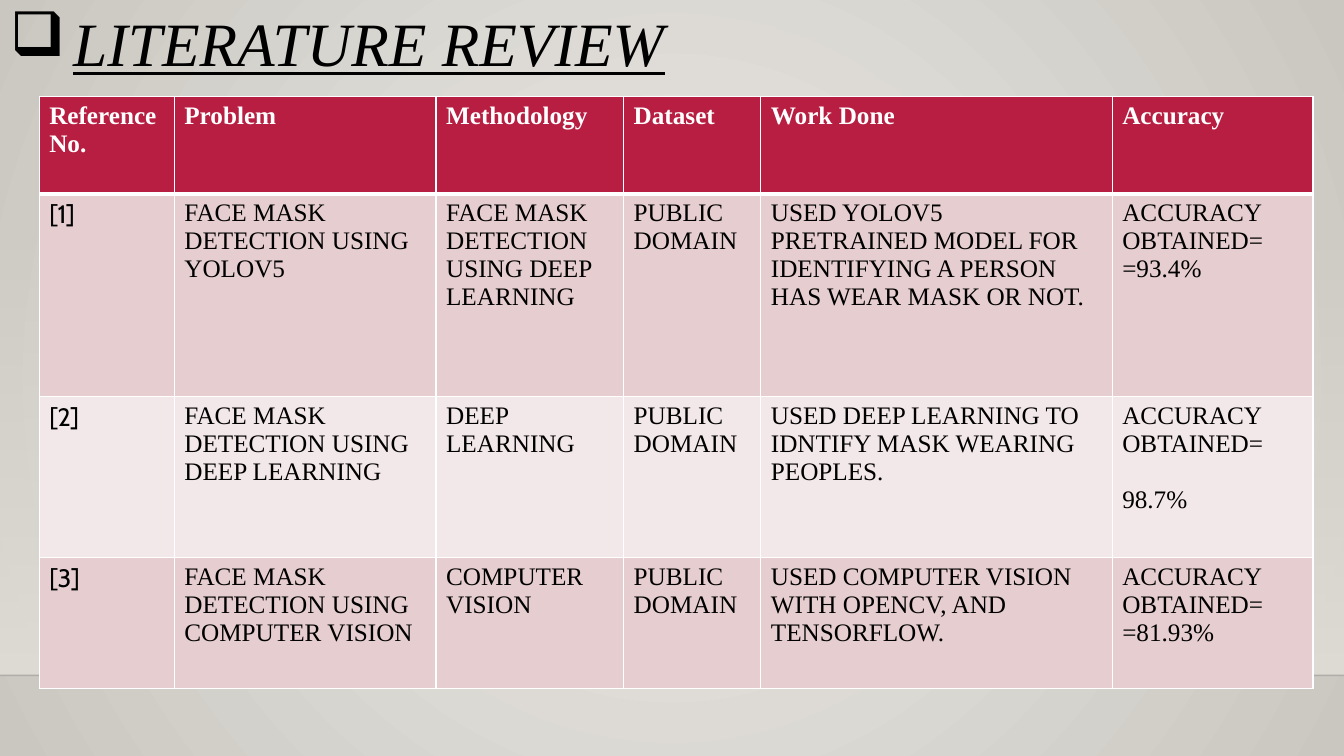
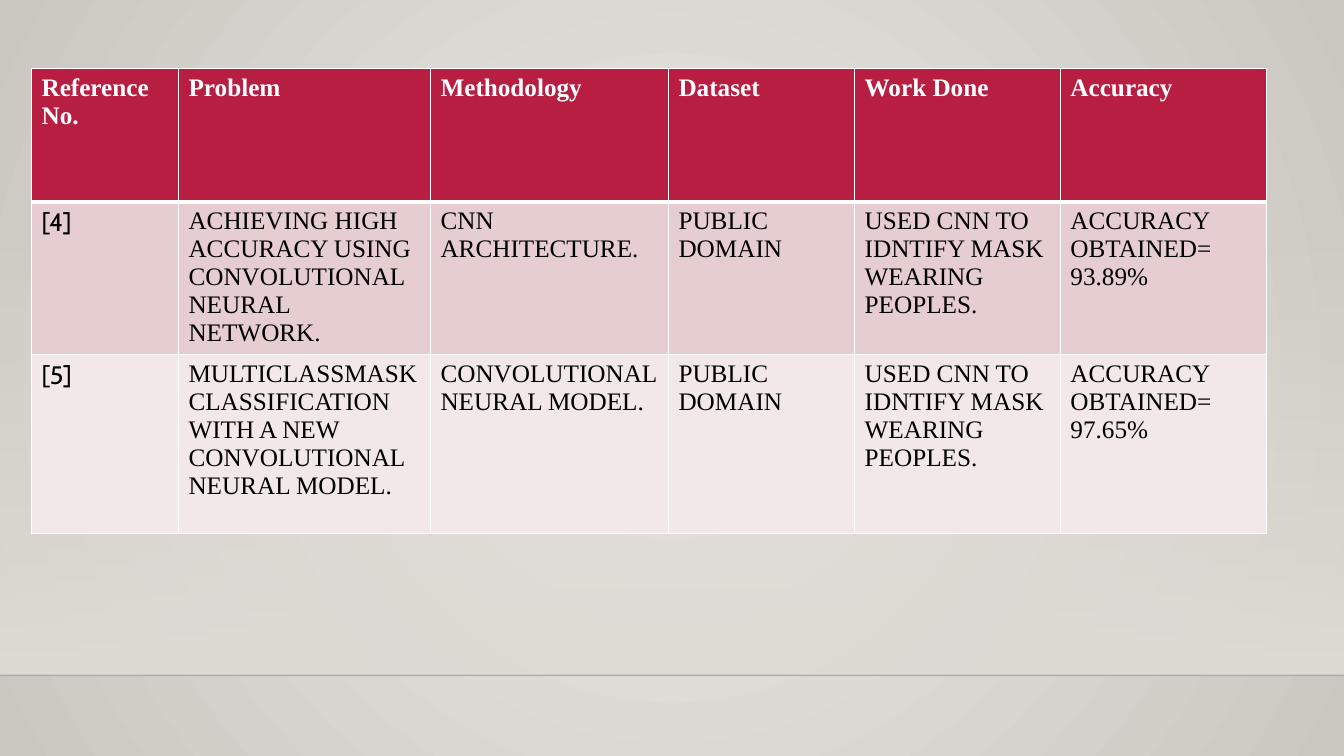
from lxml import etree
from pptx import Presentation
from pptx.dml.color import RGBColor
from pptx.enum import shapes, text
from pptx.oxml import ns
from pptx.util import Pt

BLACK = RGBColor(0x00, 0x00, 0x00)
RULE = RGBColor(0x00, 0x00, 0x01)
WHITE = RGBColor(0xFF, 0xFF, 0xFF)
CRIMSON = RGBColor(0xB7, 0x1E, 0x42)
ROSE = RGBColor(0xE6, 0xCD, 0xCF)
BLUSH = RGBColor(0xF3, 0xE8, 0xE9)
PALE = RGBColor(0xEC, 0xEA, 0xE7)
STONE = RGBColor(0xCA, 0xC7, 0xC1)
SAND = RGBColor(0xDF, 0xDB, 0xD5)

SERIF = "Times New Roman"
SANS = "Cabin"
WIDTH, HEIGHT = 960, 540
BAND_TOP, BAND_BOTTOM = 159, 482.4

HEADINGS = ["Reference No.", "Problem", "Methodology", "Dataset", "Work Done", "Accuracy"]
PUBLIC = "PUBLIC DOMAIN"
OBTAINED = "ACCURACY OBTAINED="
USED_CNN = "USED CNN TO IDNTIFY MASK WEARING PEOPLES."

FIRST_STUDIES = [
    ["[1]", "FACE MASK DETECTION USING YOLOV5",
     "FACE MASK DETECTION USING DEEP LEARNING", PUBLIC,
     "USED YOLOV5 PRETRAINED MODEL FOR IDENTIFYING A PERSON HAS WEAR MASK OR NOT.", "=93.4%"],
    ["[2]", "FACE MASK DETECTION USING DEEP LEARNING", "DEEP LEARNING", PUBLIC,
     "USED DEEP LEARNING TO IDNTIFY MASK WEARING PEOPLES.", "98.7%"],
    ["[3]", "FACE MASK DETECTION USING COMPUTER VISION", "COMPUTER VISION", PUBLIC,
     "USED COMPUTER VISION WITH OPENCV, AND TENSORFLOW.", "=81.93%"],
]
LATER_STUDIES = [
    ["[4]", "ACHIEVING HIGH ACCURACY USING CONVOLUTIONAL NEURAL NETWORK.",
     "CNN ARCHITECTURE.", PUBLIC, USED_CNN, "93.89%"],
    ["[5]", "MULTICLASSMASK CLASSIFICATION WITH A NEW CONVOLUTIONAL NEURAL MODEL.",
     "CONVOLUTIONAL NEURAL MODEL.", PUBLIC, USED_CNN, "97.65%"],
]


def add_element(parent, tag, **attributes):
    element = etree.SubElement(parent, ns.qn(tag))
    for name, value in attributes.items():
        element.set(name, str(value))
    return element


def write(para, words, size=18, font=SERIF, color=BLACK, bold=False, italic=False,
          underline=False, before=0):
    para.space_before = Pt(before)
    span = para.add_run()
    span.text = words
    span.font.size = Pt(size)
    span.font.name = font
    span.font.color.rgb = color
    span.font.bold = bold
    span.font.italic = italic
    span.font.underline = underline


def paint_gradient(fill, first, last):
    fill.gradient()
    for stop, color, position in zip(fill.gradient_stops, (first, last), (0, 1)):
        stop.color.rgb = color
        stop.position = position


def paint_background(master):
    fill = master.background.fill
    paint_gradient(fill, PALE, STONE)
    gradient = master.element.xpath("./p:cSld/p:bg//a:gradFill")[0]
    for line in gradient.findall(ns.qn("a:lin")):
        gradient.remove(line)
    circle = add_element(gradient, "a:path", path="circle")
    add_element(circle, "a:fillToRect", l=50000, t=50000, r=50000, b=50000)


def dress_master(master, page):
    paint_background(master)
    band = page.shapes.add_shape(shapes.MSO_SHAPE.RECTANGLE, 0, Pt(BAND_TOP),
                                 Pt(WIDTH), Pt(BAND_BOTTOM - BAND_TOP))
    band.shadow.inherit = False
    band.line.fill.background()
    paint_gradient(band.fill, SAND, SAND)
    band.fill.gradient_angle = 270
    add_element(band.element.xpath(".//a:gs/a:srgbClr")[0], "a:alpha", val=0)

    rule = page.shapes.add_connector(shapes.MSO_CONNECTOR.STRAIGHT, 0, Pt(BAND_BOTTOM),
                                     Pt(WIDTH), Pt(BAND_BOTTOM))
    rule.line.width = Pt(1)
    rule.line.color.rgb = RULE
    add_element(rule.element.xpath(".//a:ln//a:srgbClr")[0], "a:alpha", val=20000)
    add_element(rule.element.spPr, "a:effectLst")

    for index, shape in enumerate((band, rule)):
        shape.element.xpath(".//p:cNvPr")[0].set("id", str(101 + index))
        master.shapes.element.insert(2 + index, shape.element)


def place_title(page, words, left, top, width, height):
    box = page.shapes.title
    box.left, box.top, box.width, box.height = Pt(left), Pt(top), Pt(width), Pt(height)
    frame = box.text_frame
    frame.word_wrap = True
    frame.auto_size = text.MSO_AUTO_SIZE.NONE
    frame.vertical_anchor = text.MSO_ANCHOR.TOP
    para = frame.paragraphs[0]
    para.alignment = text.PP_ALIGN.LEFT
    properties = para._p.get_or_add_pPr()
    properties.set("marL", str(Pt(45)))
    properties.set("indent", str(-Pt(45)))
    add_element(properties, "a:buFont", typeface="Wingdings")
    add_element(properties, "a:buChar", char="q")
    write(para, words, size=44, italic=True, underline=True)


def style_cell(cell, color, top=1, bottom=1):
    properties = cell._tc.get_or_add_tcPr()
    for side, width in (("L", 1), ("R", 1), ("T", top), ("B", bottom)):
        border = add_element(properties, "a:ln" + side, w=Pt(width))
        add_element(add_element(border, "a:solidFill"), "a:srgbClr", val=WHITE)
    cell.fill.solid()
    cell.fill.fore_color.rgb = color


def place_review_table(page, studies, left, top, widths, heights, gaps):
    table = page.shapes.add_table(len(heights), len(widths), Pt(left), Pt(top),
                                  Pt(sum(widths)), Pt(sum(heights))).table
    for column, width in zip(table.columns, widths):
        column.width = Pt(width)
    for row, height in zip(table.rows, heights):
        row.height = Pt(height)
    for index, heading in enumerate(HEADINGS):
        cell = table.cell(0, index)
        style_cell(cell, CRIMSON, bottom=3)
        write(cell.text_frame.paragraphs[0], heading, color=WHITE, bold=True)
    for number, (study, gap) in enumerate(zip(studies, gaps), start=1):
        for index, words in enumerate(study):
            cell = table.cell(number, index)
            style_cell(cell, ROSE if number % 2 else BLUSH, top=3 if number == 1 else 1)
            frame = cell.text_frame
            para = frame.paragraphs[0]
            if HEADINGS[index] == "Accuracy":
                write(para, OBTAINED)
                write(frame.add_paragraph(), words, before=gap)
            else:
                write(para, words, font=SERIF if index else SANS)


def main():
    deck = Presentation()
    deck.slide_width, deck.slide_height = Pt(WIDTH), Pt(HEIGHT)
    title_only, blank = deck.slide_layouts[5], deck.slide_layouts[6]

    page = deck.slides.add_slide(title_only)
    dress_master(deck.slide_master, page)
    place_title(page, "LITERATURE REVIEW", 0, 0, 932, 433.5)
    place_review_table(page, FIRST_STUDIES, 28, 69, [96.5, 187, 134, 98, 251, 143.5],
                       [69.5, 145, 115, 93.5], [0, 20, 0])

    page = deck.slides.add_slide(blank)
    place_review_table(page, LATER_STUDIES, 22.5, 49, [105, 180, 170, 133, 147, 147],
                       [95.5, 109, 127.5], [0, 0])
    deck.save("out.pptx")


if __name__ == "__main__":
    main()
